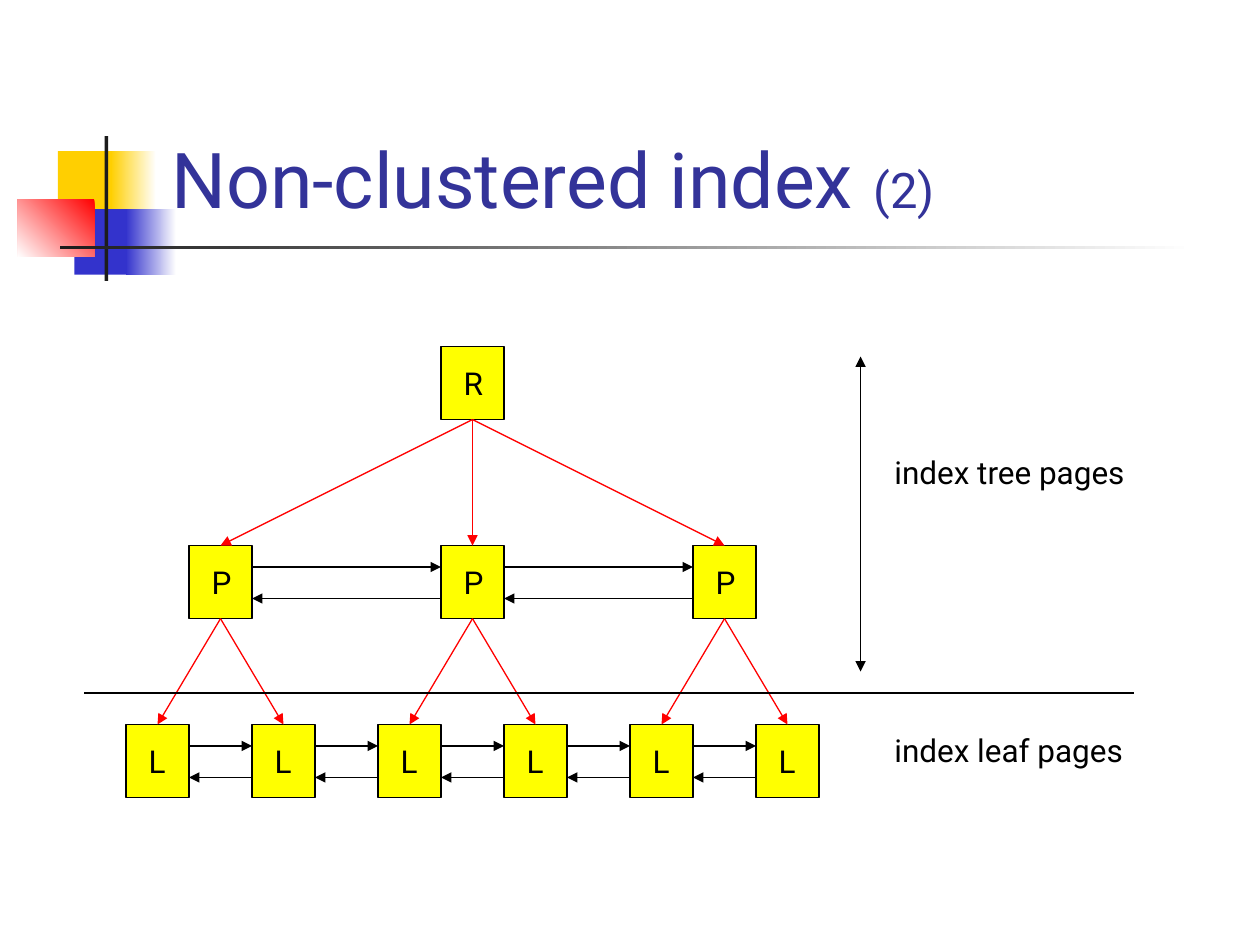
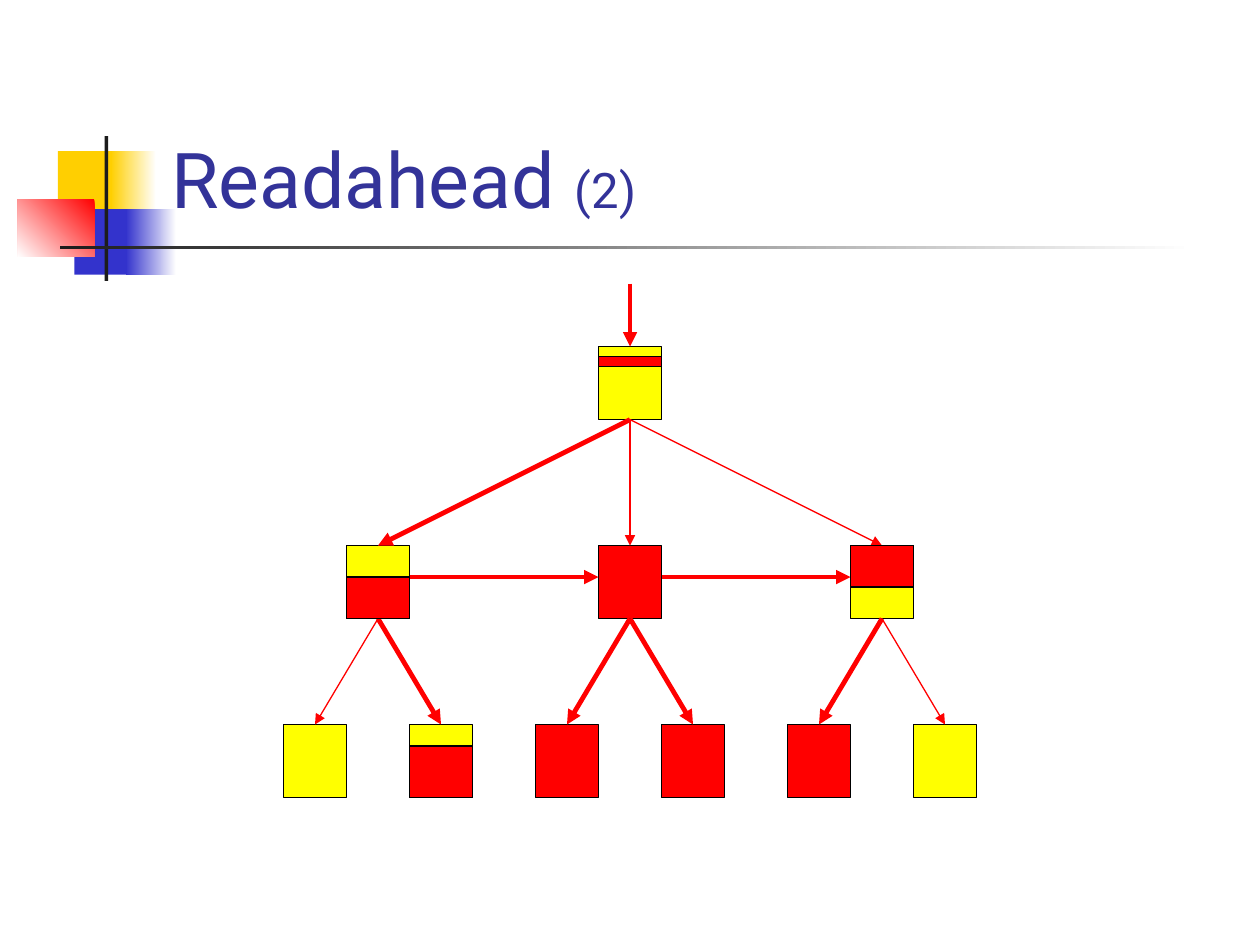
"""Builds two slides on index trees: a non-clustered index and readahead."""
from lxml import etree
from pptx import Presentation
from pptx.dml.color import RGBColor
from pptx.enum import shapes, text
from pptx.oxml import ns
from pptx.util import Inches, Pt

FONT = "Roboto"
BLACK = RGBColor(0x00, 0x00, 0x00)
WHITE = RGBColor(0xFF, 0xFF, 0xFF)
RED = RGBColor(0xFF, 0x00, 0x00)
YELLOW = RGBColor(0xFF, 0xFF, 0x00)
GOLD = RGBColor(0xFF, 0xCF, 0x01)
BLUE = RGBColor(0x33, 0x33, 0xCC)
NAVY = RGBColor(0x33, 0x33, 0x99)
CHARCOAL = RGBColor(0x1C, 0x1C, 0x1C)

TITLE_BOX = (1.26, 0.23, 8.52, 1.6)
DECORATION = [
    ((0.46, 1.2, 0.48, 0.52), (GOLD,), 0),
    ((0.88, 1.2, 0.36, 0.52), (WHITE, GOLD), 180),
    ((0.59, 1.66, 0.46, 0.52), (BLUE,), 0),
    ((1, 1.66, 0.4, 0.52), (WHITE, BLUE), 180),
    ((0.14, 1.58, 0.61, 0.46), (RED, WHITE), 225),
    ((0.83, 1.08, 0.03, 1.15), (CHARCOAL,), 0),
    ((0.48, 1.95, 9, 0.03), (WHITE, CHARCOAL), 180),
]

PAGE_WIDTH, PAGE_HEIGHT = 0.5, 0.58
LEVEL_TOPS = (2.75, 4.33, 5.75)
LEVEL_COUNTS = (1, 3, 6)
LEVEL_STEPS = (0, 2, 1)
THIN, THICK = 0.75, 2.75

INDEX = {
    "title": ("Non-clustered index ", "(2)"),
    "centre": 3.75,
    "letters": "RPL",
    "labels": [("index tree pages", 7, 3.55, 2.83),
               ("index leaf pages", 7, 5.75, 2.17)],
    "divider": ((0.67, 5.5), (9, 5.5)),
    "extent": ((6.83, 5.33), (6.83, 2.83)),
    "forward_offset": 0.17,
    "backward_offset": 0.42,
}
READAHEAD = {
    "title": ("Readahead ", "(2)"),
    "centre": 5,
    "red_pages": {(1, 1), (2, 2), (2, 3), (2, 4)},
    "red_bands": {(0, 0): (0.08, 0.08), (1, 0): (0.25, 0.33),
                  (1, 2): (0, 0.33), (2, 1): (0.17, 0.41)},
    "read_links": {(1, 0), (2, 1), (2, 2), (2, 3), (2, 4)},
    "entry_length": 0.5,
    "forward_offset": 0.25,
}


def set_all(target, values):
    """Set each named attribute of the target."""
    for name, value in values.items():
        setattr(target, name, value)


def add_box(slide, box, colors, angle=0, outlined=True):
    """Add a rectangle with a plain or two-colour fill."""
    shape = slide.shapes.add_shape(shapes.MSO_SHAPE.RECTANGLE, *map(Inches, box))
    shape.shadow.inherit = False
    if len(colors) == 1:
        shape.fill.solid()
        shape.fill.fore_color.rgb = colors[0]
    else:
        shape.fill.gradient()
        shape.fill.gradient_angle = angle
        for stop, color in zip(shape.fill.gradient_stops, colors):
            stop.color.rgb = color
    if outlined:
        shape.line.color.rgb = BLACK
        shape.line.width = Pt(THIN)
    else:
        shape.line.fill.background()
    return shape


def add_line(slide, start, end, color, width=THIN, ends=("tailEnd",)):
    """Add a straight line with triangles at the named ends."""
    points = [Inches(value) for value in (*start, *end)]
    connector = slide.shapes.add_connector(shapes.MSO_CONNECTOR.STRAIGHT, *points)
    connector.line.color.rgb = color
    connector.line.width = Pt(width)
    properties = connector.element.spPr
    for end_name in ends:
        etree.SubElement(properties.get_or_add_ln(), ns.qn(f"a:{end_name}"), type="triangle")
    etree.SubElement(properties, ns.qn("a:effectLst"))


def write_text(shape, runs, color, frame_format):
    """Write left-aligned runs, given as text and size, into a shape."""
    frame = shape.text_frame
    set_all(frame, {"word_wrap": True, **frame_format})
    paragraph = frame.paragraphs[0]
    paragraph.alignment = text.PP_ALIGN.LEFT
    for words, size in runs:
        run = paragraph.add_run()
        run.text = words
        set_all(run.font, {"name": FONT, "size": Pt(size)})
        run.font.color.rgb = color


def decorate_master(master, slide):
    """Build the coloured squares and rules, and hand them to the master."""
    for number, (box, colors, angle) in enumerate(DECORATION, start=20):
        shape = add_box(slide, box, colors, angle, outlined=False)
        shape.element.nvSpPr.cNvPr.set("id", str(number))
        master.shapes.element.append(shape.element)


def add_title(slide, title):
    """Fill the title placeholder, with a smaller part number."""
    placeholder = slide.shapes.title
    names = ("left", "top", "width", "height")
    set_all(placeholder, dict(zip(names, map(Inches, TITLE_BOX))))
    write_text(placeholder, zip(title, (44, 28)), NAVY, {
        "vertical_anchor": text.MSO_ANCHOR.BOTTOM,
        "auto_size": text.MSO_AUTO_SIZE.NONE,
    })


def level_centres(centre, level):
    """Give the horizontal centres of the pages on a level."""
    count, step = LEVEL_COUNTS[level], LEVEL_STEPS[level]
    return [centre + (place - (count - 1) / 2) * step for place in range(count)]


def add_pages(slide, tree):
    """Draw the pages of every level, lettered where the tree has letters."""
    for level, top in enumerate(LEVEL_TOPS):
        for place, middle in enumerate(level_centres(tree["centre"], level)):
            color = RED if (level, place) in tree.get("red_pages", ()) else YELLOW
            box = (middle - PAGE_WIDTH / 2, top, PAGE_WIDTH, PAGE_HEIGHT)
            page = add_box(slide, box, (color,))
            if "letters" in tree:
                write_text(page, [(tree["letters"][level], 18)], BLACK, {
                    "vertical_anchor": text.MSO_ANCHOR.TOP,
                    "margin_left": Inches(0.18), "margin_top": Inches(0.14),
                    "margin_right": 0, "margin_bottom": 0,
                })


def add_child_links(slide, tree):
    """Draw red arrows from each page to its children."""
    for level in (1, 2):
        parents = level_centres(tree["centre"], level - 1)
        children = level_centres(tree["centre"], level)
        share = len(children) // len(parents)
        for place, child in enumerate(children):
            start = (parents[place // share], LEVEL_TOPS[level - 1] + PAGE_HEIGHT)
            width = THICK if (level, place) in tree.get("read_links", ()) else THIN
            add_line(slide, start, (child, LEVEL_TOPS[level]), RED, width)


def add_neighbour_links(slide, tree, level, color, width=THIN):
    """Draw arrows between neighbouring pages of a level."""
    centres = level_centres(tree["centre"], level)
    for left, right in zip(centres, centres[1:]):
        sides = (left + PAGE_WIDTH / 2, right - PAGE_WIDTH / 2)
        for name, (start, end) in (("forward_offset", sides), ("backward_offset", sides[::-1])):
            if name in tree:
                height = LEVEL_TOPS[level] + tree[name]
                add_line(slide, (start, height), (end, height), color, width)


def add_tree_slide(slide, tree):
    """Add the title, pages and child links that both slides share."""
    add_title(slide, tree["title"])
    add_pages(slide, tree)
    add_child_links(slide, tree)


def build_index(slide):
    """Draw the index tree with linked levels and labels."""
    add_tree_slide(slide, INDEX)
    for level in (1, 2):
        add_neighbour_links(slide, INDEX, level, BLACK)
    add_line(slide, *INDEX["divider"], BLACK, ends=())
    add_line(slide, *INDEX["extent"], BLACK, ends=("headEnd", "tailEnd"))
    for words, left, top, width in INDEX["labels"]:
        label = slide.shapes.add_textbox(*map(Inches, (left, top, width, 0.4)))
        write_text(label, [(words, 18)], BLACK, {})


def build_readahead(slide):
    """Draw the tree with the pages and links that are read in red."""
    add_tree_slide(slide, READAHEAD)
    add_neighbour_links(slide, READAHEAD, 1, RED, THICK)
    centre, top = READAHEAD["centre"], LEVEL_TOPS[0]
    add_line(slide, (centre, top - READAHEAD["entry_length"]), (centre, top), RED, THICK)
    for (level, place), (offset, height) in READAHEAD["red_bands"].items():
        left = level_centres(centre, level)[place] - PAGE_WIDTH / 2
        add_box(slide, (left, LEVEL_TOPS[level] + offset, PAGE_WIDTH, height), (RED,))


def main():
    """Build and save the presentation."""
    presentation = Presentation()
    set_all(presentation, {"slide_width": Inches(10), "slide_height": Inches(7.5)})
    layout = presentation.slide_layouts.get_by_name("Title Only")
    index_slide, readahead_slide = (presentation.slides.add_slide(layout) for _ in range(2))
    decorate_master(presentation.slide_master, index_slide)
    build_index(index_slide)
    build_readahead(readahead_slide)
    presentation.save("out.pptx")


if __name__ == "__main__":
    main()
